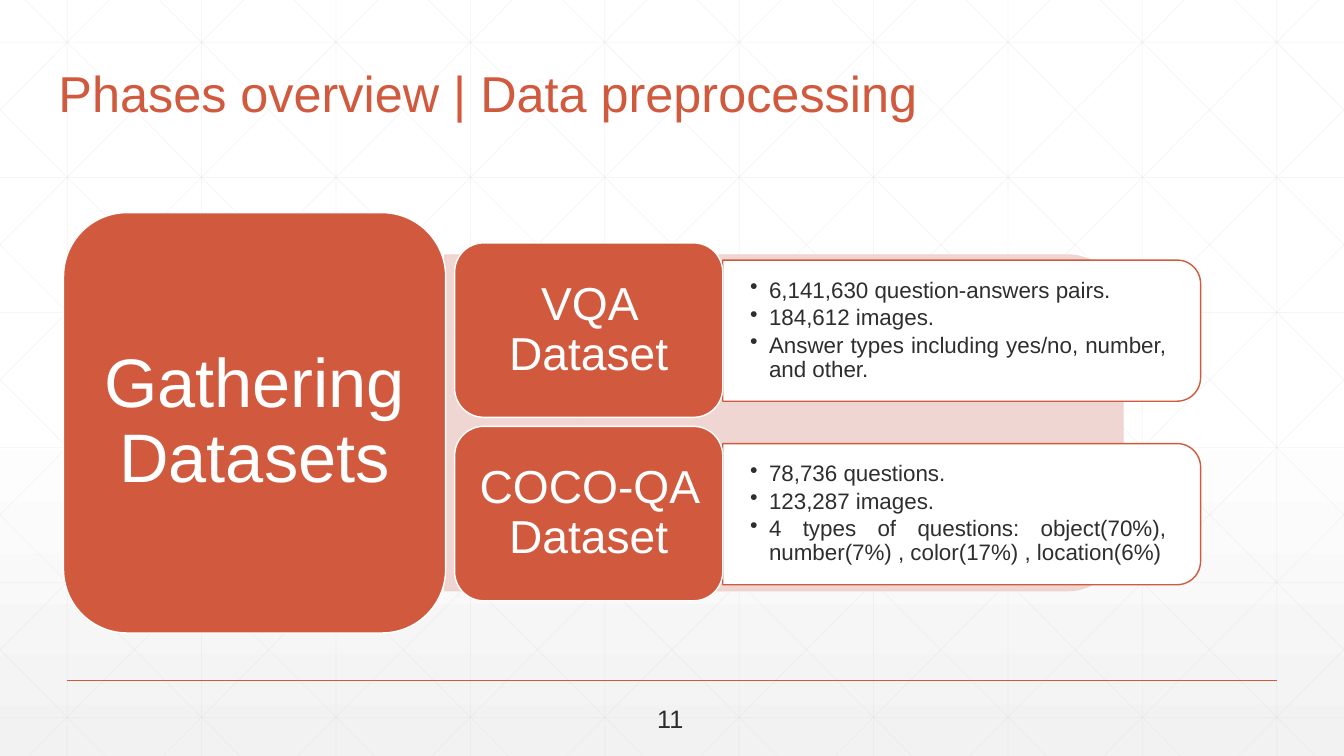
"""Builds the data preprocessing slide on a grid of 100 columns by 100 rows."""
import pptx
import pptx.util
import pptx.oxml.ns
from lxml import etree
from pptx.dml.color import RGBColor
from pptx.enum.shapes import MSO_CONNECTOR, MSO_SHAPE
from pptx.enum.text import MSO_ANCHOR, PP_ALIGN

RUST = RGBColor(0xD1, 0x5A, 0x3E)
BLUSH = RGBColor(0xEE, 0xD2, 0xCE)
GREY = RGBColor(0xD9, 0xD9, 0xD9)
PALE = RGBColor(0xF2, 0xF2, 0xF2)
INK = RGBColor(0x2D, 0x2E, 0x2D)
WHITE = RGBColor(0xFF, 0xFF, 0xFF)

WIDTH, HEIGHT = pptx.util.Inches(13.333), pptx.util.Inches(7.5)
ROW_STEP = 24.27
DATASETS = [
    ("VQA Dataset", [
        "6,141,630 question-answers pairs.",
        "184,612 images.",
        "Answer types including yes/no, number, and other."]),
    ("COCO-QA Dataset", [
        "78,736 questions.",
        "123,287 images.",
        "4 types of questions: object(70%), number(7%) , color(17%) , location(6%)"]),
]


def col(n):
    return pptx.util.Emu(int(WIDTH * n / 100))


def row(n):
    return pptx.util.Emu(int(HEIGHT * n / 100))


def set_all(target, values):
    for name, value in values.items():
        setattr(target, name, value)


def add_alpha(fill_parent, percent):
    for color in fill_parent.iter(pptx.oxml.ns.qn("a:srgbClr")):
        alpha = etree.SubElement(color, pptx.oxml.ns.qn("a:alpha"))
        alpha.set("val", str(percent * 1000))


def add_bullet(p, indent):
    pPr = p._p.get_or_add_pPr()
    pPr.set("marL", str(indent))
    pPr.set("indent", str(-indent))
    etree.SubElement(pPr, pptx.oxml.ns.qn("a:buChar")).set("char", "•")


def write(sp, lines, size, color, align, anchor, inset, spacing=0.9,
          after=0, bullet=False, wrap=True):
    tf = sp.text_frame
    across, down = inset
    set_all(tf, {"word_wrap": wrap, "vertical_anchor": anchor,
                 "margin_left": col(across), "margin_right": col(across),
                 "margin_top": row(down), "margin_bottom": row(down)})
    for i, line in enumerate(lines):
        p = tf.add_paragraph() if i else tf.paragraphs[0]
        set_all(p, {"alignment": align, "line_spacing": spacing,
                    "space_after": pptx.util.Pt(after)})
        if bullet:
            add_bullet(p, col(1.41))
        r = p.add_run()
        r.text = line
        set_all(r.font, {"name": "Arial", "size": pptx.util.Pt(size)})
        r.font.color.rgb = color


def add_text(s, box, lines, **style):
    x, y, w, h = box
    write(s.shapes.add_textbox(col(x), row(y), col(w), row(h)), lines, **style)


def paint(sp, fill, line):
    sp.shadow.inherit = False
    sp.fill.solid()
    sp.fill.fore_color.rgb = fill
    sp.line.color.rgb = line
    sp.line.width = pptx.util.Pt(1)


def add_card(s, box, label, size, inset):
    x, y, w, h = box
    sp = s.shapes.add_shape(MSO_SHAPE.ROUNDED_RECTANGLE,
                            col(x), row(y), col(w), row(h))
    paint(sp, RUST, WHITE)
    write(sp, [label], size, WHITE, PP_ALIGN.CENTER, MSO_ANCHOR.MIDDLE, inset)


def add_panel(s, box, fill, line):
    """Adds a box with round right corners: a top-rounded shape turned by 90 degrees."""
    x, y, w, h = box
    left, top, wide, tall = col(x), row(y), col(w), row(h)
    shift = (wide - tall) // 2
    sp = s.shapes.add_shape(MSO_SHAPE.ROUND_2_SAME_RECTANGLE,
                            left + shift, top - shift, tall, wide)
    sp.rotation = 90
    paint(sp, fill, line)
    return sp


def add_line(s, start, end, color, width, alpha=100):
    line = s.shapes.add_connector(MSO_CONNECTOR.STRAIGHT, col(start[0]), row(start[1]),
                                  col(end[0]), row(end[1]))
    line.line.color.rgb = color
    line.line.width = pptx.util.Pt(width)
    spPr = line._element.spPr
    if alpha < 100:
        add_alpha(spPr, alpha)
    etree.SubElement(spPr, pptx.oxml.ns.qn("a:effectLst"))


def add_lattice(s):
    """Draws the pale lattice: uprights, levels and both sets of diagonals."""
    style = (GREY, 0.5, 25)
    for i in range(10):
        add_line(s, (5 + 10 * i, 0), (5 + 10 * i, 100), *style)
    for i in range(6):
        y = 5.6 + 17.87 * i
        add_line(s, (0, y), (100, y), *style)
    slope = 0.56
    for i in range(-5, 10):
        x = 1.87 + 10 * i
        top, bottom = max(0, -x / slope), min(100, (100 - x) / slope)
        start, end = x + slope * top, x + slope * bottom
        add_line(s, (start, top), (end, bottom), *style)
        add_line(s, (100 - start, top), (100 - end, bottom), *style)


def add_background(s):
    fill = s.background.fill
    fill.gradient()
    fill.gradient_angle = 270
    for stop, place, color in zip(fill.gradient_stops, (0.53, 1), (WHITE, PALE)):
        stop.position = place
        stop.color.rgb = color


def add_dataset(s, offset, name, facts):
    add_panel(s, (53.78, 34.4 + offset, 35.55, 18.67), WHITE, RUST)
    add_text(s, (53.78, 35.33 + offset, 35.03, 16.8), facts, size=16, color=INK,
             align=PP_ALIGN.JUSTIFY, anchor=MSO_ANCHOR.MIDDLE, inset=(2.03, 1.87),
             after=2.4, bullet=True)
    add_card(s, (33.83, 32.13 + offset, 19.95, 23.07), name, 33, (1.05, 0.93))


def main():
    prs = pptx.Presentation()
    set_all(prs, {"slide_width": WIDTH, "slide_height": HEIGHT})
    s = prs.slides.add_slide(prs.slide_layouts[6])
    add_background(s)
    add_lattice(s)
    add_line(s, (5, 90), (95, 90), RUST, 1)
    add_text(s, (3.6, 7.07, 78.75, 16.67), ["Phases overview | Data preprocessing"],
             size=36, color=RUST, align=PP_ALIGN.LEFT, anchor=MSO_ANCHOR.TOP,
             inset=(0.75, 2))
    backdrop = add_panel(s, (33.08, 33.73, 50.48, 44.4), BLUSH, BLUSH)
    add_alpha(backdrop._element.spPr, 90)
    add_card(s, (4.73, 28.13, 28.43, 55.6), "Gathering Datasets", 49, (1.5, 1.33))
    add_text(s, (48.15, 92.4, 3.6, 5.33), ["11"], size=18, color=INK,
             align=PP_ALIGN.LEFT, anchor=MSO_ANCHOR.TOP, inset=(0.75, 0.67),
             spacing=1, wrap=False)
    for i, (name, facts) in enumerate(DATASETS):
        add_dataset(s, ROW_STEP * i, name, facts)
    prs.save("out.pptx")


if __name__ == "__main__":
    main()
